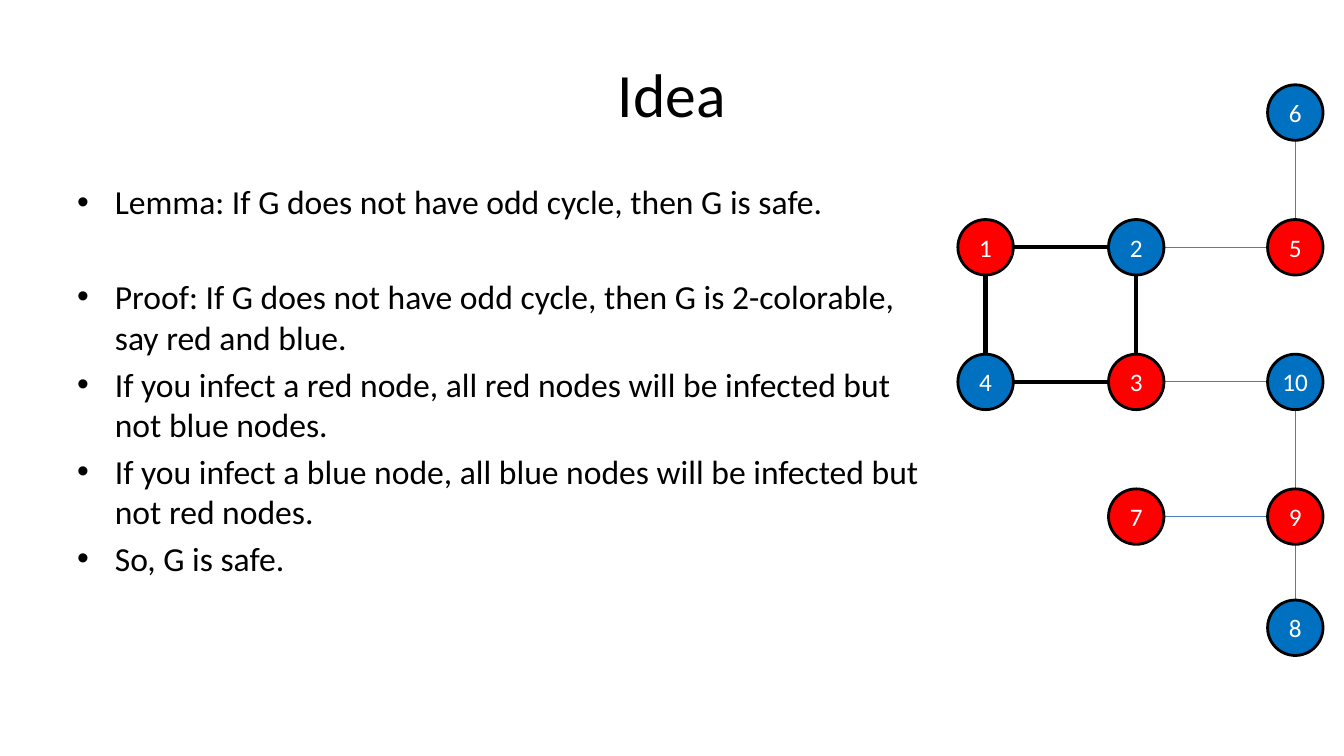
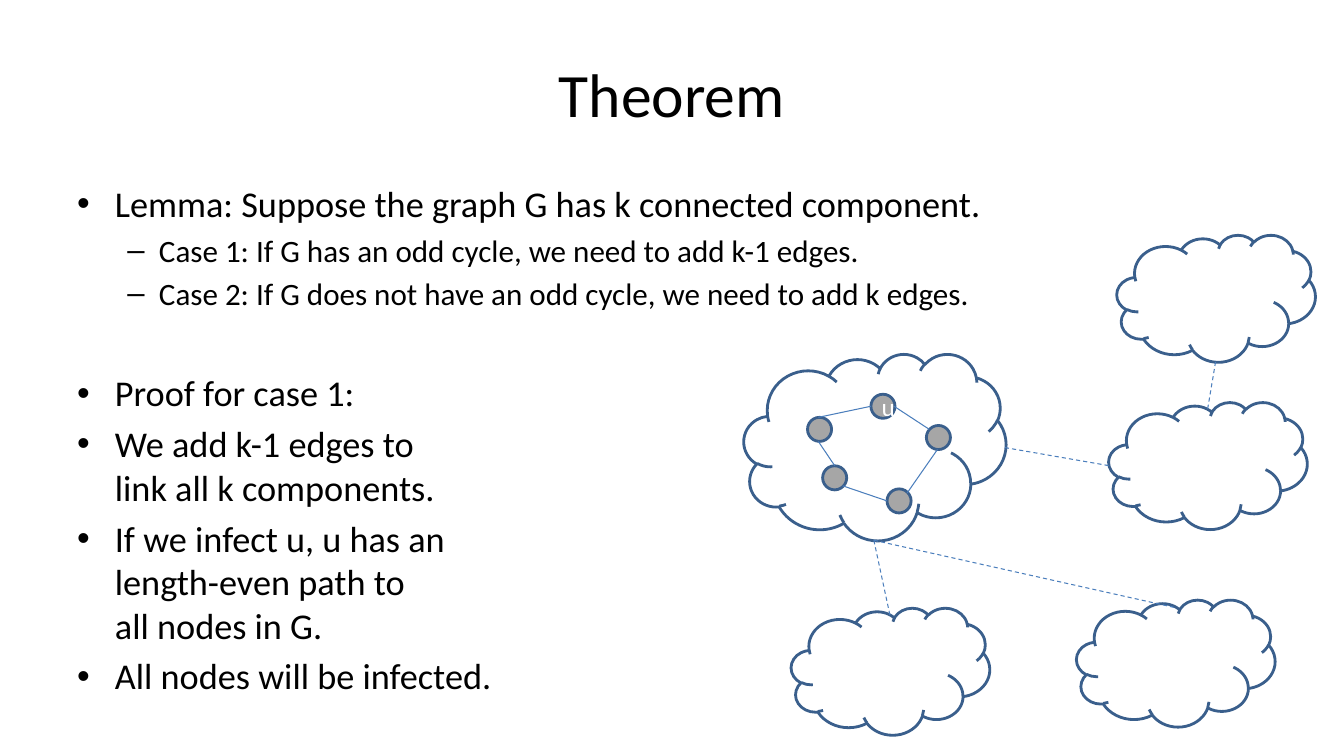
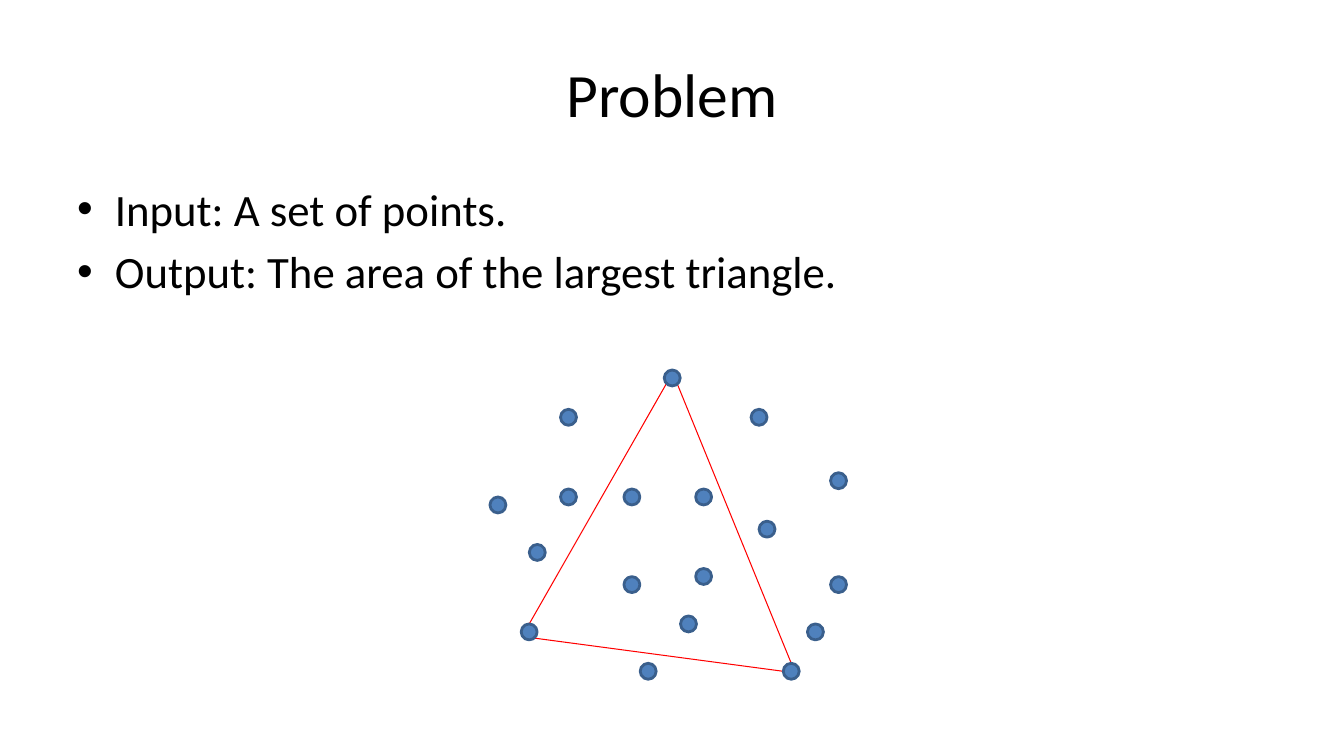
from lxml import etree
from pptx import Presentation
from pptx.dml.color import RGBColor
from pptx.enum.dml import MSO_LINE
from pptx.enum.shapes import MSO_CONNECTOR, MSO_SHAPE
from pptx.enum.text import MSO_ANCHOR, PP_ALIGN
from pptx.oxml.ns import qn
from pptx.util import Pt

STRAIGHT = MSO_CONNECTOR.STRAIGHT
ELLIPSE, CLOUD = MSO_SHAPE.OVAL, MSO_SHAPE.CLOUD
DASH = MSO_LINE.DASH
CENTER, MIDDLE, TOP = PP_ALIGN.CENTER, MSO_ANCHOR.MIDDLE, MSO_ANCHOR.TOP

FONT = "Calibri"
BLACK, WHITE, RED, BLUE = "000000", "FFFFFF", "FF0000", "0070C0"
GREY, STEEL, OUTLINE, EDGE = "A6A6A6", "4F81BD", "3A5F8C", "4B7EBC"
TITLE_BOX = (48, 21.6, 864, 90)
BODY_BOX = (48, 126, 864, 356.4)
LEVELS = (("•", 27, -27), ("–", 58.5, -22.5))
SPACE_BEFORE = 0.2
BLANK_LINE = 1.42

NODE_SIZE, DOT_SIZE, POINT_SIZE = 39.6, 17.2, 11.4
COLUMNS = (704, 811.6, 925.2)
ROWS = (80.4, 176.6, 272.8, 369, 448.4)
NODES = {
    "1": (0, 1, RED), "2": (1, 1, BLUE), "3": (1, 2, RED), "4": (0, 2, BLUE),
    "5": (2, 1, RED), "6": (2, 0, BLUE), "7": (1, 3, RED), "8": (2, 4, BLUE),
    "9": (2, 3, RED), "10": (2, 2, BLUE),
}
CYCLE_EDGES = (("1", "2"), ("2", "3"), ("3", "4"), ("4", "1"))
TREE_EDGES = (("2", "5"), ("5", "6"), ("3", "10"), ("10", "9"), ("9", "8"), ("9", "7"))

MAIN_CLOUD = (531.4, 252.7, 187.2, 133.2)
CLOUD_SIZE = (141.8, 90.7)
CLOUD_CORNERS = ((565.2, 434.2), (792, 287.3), (797.8, 167.8), (769, 428.4))
CYCLE_DOTS = (("u", 630.7, 290.2), ("", 670.3, 312.5), ("", 642.2, 357.8),
              ("", 596.2, 341.3), ("", 585.4, 306.7))
CYCLE_LINES = (
    ((584.6, 298.1), (622.1, 290.2)), ((638.6, 290.2), (663.8, 306.7)),
    ((584.6, 315.4), (596.2, 332.6)), ((601.9, 347), (633.6, 357.8)),
    ((648, 352.1), (669.6, 321.1)),
)
LINKS = (
    ((717.8, 319.7), (792, 332.6)), ((868.3, 258.5), (862.6, 292.3)),
    ((624.2, 385.9), (635.8, 439.9)), ((624.2, 385.9), (840.2, 434.2)),
)

POINTS = (
    (480.2, 270), (542.2, 298.1), (599, 343.4), (406.1, 298.1), (355.7, 360.7),
    (502.6, 355), (502.6, 411.8), (599, 417.6), (451.4, 417.6), (565.2, 479.5),
    (378, 451.4), (451.4, 355), (491.8, 445.7), (547.9, 378), (406.1, 355),
    (383.8, 394.6), (582.5, 451.4), (463, 479.5),
)
TRIANGLE = (
    ((381.6, 455.8), (559.4, 479.5)), ((475.9, 274.3), (378, 445.7)),
    ((483.8, 274.3), (565.2, 473.8)),
)


def color(hex_text):
    """Turn a hex string into a colour."""
    return RGBColor.from_string(hex_text)


def apply(target, values):
    """Set attributes from a dict of format values."""
    for name, value in values.items():
        setattr(target, name, value)


def format_runs(p, size, hex_color):
    """Give every run of a paragraph the deck font."""
    for r in p.runs:
        apply(r.font, {"name": FONT, "size": Pt(size)})
        r.font.color.rgb = color(hex_color)


def add_slide(prs, title):
    """Add a title-only slide with its title placed and formatted."""
    s = prs.slides.add_slide(prs.slide_layouts[5])
    sp = s.shapes.title
    apply(sp, dict(zip(("left", "top", "width", "height"), map(Pt, TITLE_BOX))))
    tf = sp.text_frame
    tf.text = title
    tf.vertical_anchor = MIDDLE
    tf.paragraphs[0].alignment = CENTER
    format_runs(tf.paragraphs[0], 44, BLACK)
    return s


def add_bullets(s, items, sizes):
    """Add bulleted text from (level, gap above, text) items."""
    tf = s.shapes.add_textbox(*map(Pt, BODY_BOX)).text_frame
    apply(tf, {"word_wrap": True, "vertical_anchor": TOP})
    for i, (level, gap, text) in enumerate(items):
        p = tf.add_paragraph() if i else tf.paragraphs[0]
        size = sizes[level]
        before = SPACE_BEFORE + gap * (BLANK_LINE * sizes[0] / size)
        apply(p, {"text": text, "level": level, "space_before": Pt(before * size)})
        format_runs(p, size, BLACK)
        mark, margin, indent = LEVELS[level]
        pPr = p._p.get_or_add_pPr()
        pPr.set("marL", str(Pt(margin)))
        pPr.set("indent", str(Pt(indent)))
        etree.SubElement(pPr, qn("a:buFont")).set("typeface", "Arial")
        etree.SubElement(pPr, qn("a:buChar")).set("char", mark)


def add_outlined(s, kind, box, fill=None, outline=OUTLINE):
    """Add a preset shape with a 2 point outline and an optional fill."""
    sp = s.shapes.add_shape(kind, *map(Pt, box))
    sp.shadow.inherit = False
    if fill:
        sp.fill.solid()
        sp.fill.fore_color.rgb = color(fill)
    else:
        sp.fill.background()
    sp.line.color.rgb = color(outline)
    sp.line.width = Pt(2)
    return sp


def add_circle(s, center, size, fill, outline=OUTLINE, text="", wrap=True):
    """Add a circle around a centre, with an optional label."""
    x, y = center
    box = (x - size / 2, y - size / 2, size, size)
    sp = add_outlined(s, ELLIPSE, box, fill, outline)
    if text:
        tf = sp.text_frame
        apply(tf, {"text": text, "word_wrap": wrap, "vertical_anchor": MIDDLE})
        tf.paragraphs[0].alignment = CENTER
        format_runs(tf.paragraphs[0], 18, WHITE)


def add_lines(s, ends, hex_color=EDGE, width=0.75, dash=None):
    """Add a straight line for each pair of end points."""
    for start, end in ends:
        cx = s.shapes.add_connector(STRAIGHT, *map(Pt, start + end))
        cx.line.color.rgb = color(hex_color)
        apply(cx.line, {"width": Pt(width), "dash_style": dash})
        etree.SubElement(cx._element.spPr, qn("a:effectLst"))


def build_idea(prs):
    """Build the slide with the two-coloured graph."""
    s = add_slide(prs, "Idea")
    add_bullets(s, (
        (0, 0, "Lemma: If G does not have odd cycle, then G is safe."),
        (0, 1, "Proof: If G does not have odd cycle, then G is 2-colorable, \nsay red and blue."),
        (0, 0, "If you infect a red node, all red nodes will be infected but \nnot blue nodes."),
        (0, 0, "If you infect a blue node, all blue nodes will be infected but \nnot red nodes."),
        (0, 0, "So, G is safe."),
    ), (24,))
    centers = {n: (COLUMNS[col], ROWS[row]) for n, (col, row, _) in NODES.items()}
    for edges, hex_color, width in ((CYCLE_EDGES, BLACK, 3), (TREE_EDGES, EDGE, 0.75)):
        add_lines(s, [(centers[a], centers[b]) for a, b in edges], hex_color, width)
    for name, (_, _, fill) in NODES.items():
        add_circle(s, centers[name], NODE_SIZE, fill, BLACK, name, wrap=False)


def build_theorem(prs):
    """Build the slide with the linked components."""
    s = add_slide(prs, "Theorem")
    add_bullets(s, (
        (0, 0, "Lemma: Suppose the graph G has k connected component."),
        (1, 0, "Case 1: If G has an odd cycle, we need to add k-1 edges."),
        (1, 0, "Case 2: If G does not have an odd cycle, we need to add k edges."),
        (0, 1, "Proof for case 1:"),
        (0, 0, "We add k-1 edges to\nlink all k components."),
        (0, 0, "If we infect u, u has an\nlength-even path to\nall nodes in G."),
        (0, 0, "All nodes will be infected."),
    ), (25.9, 22.2))
    for box in (MAIN_CLOUD, *(corner + CLOUD_SIZE for corner in CLOUD_CORNERS)):
        add_outlined(s, CLOUD, box)
    for label, x, y in CYCLE_DOTS:
        add_circle(s, (x, y), DOT_SIZE, GREY, text=label)
    add_lines(s, CYCLE_LINES)
    add_lines(s, LINKS, dash=DASH)


def build_problem(prs):
    """Build the slide with the largest triangle."""
    s = add_slide(prs, "Problem")
    add_bullets(s, (
        (0, 0, "Input: A set of points."),
        (0, 0, "Output: The area of the largest triangle."),
    ), (32,))
    add_lines(s, TRIANGLE, RED)
    for center in POINTS:
        add_circle(s, center, POINT_SIZE, STEEL)


def main():
    """Build and save the deck."""
    prs = Presentation()
    apply(prs, {"slide_width": Pt(960), "slide_height": Pt(540)})
    for build in (build_idea, build_theorem, build_problem):
        build(prs)
    prs.save("out.pptx")


if __name__ == "__main__":
    main()
